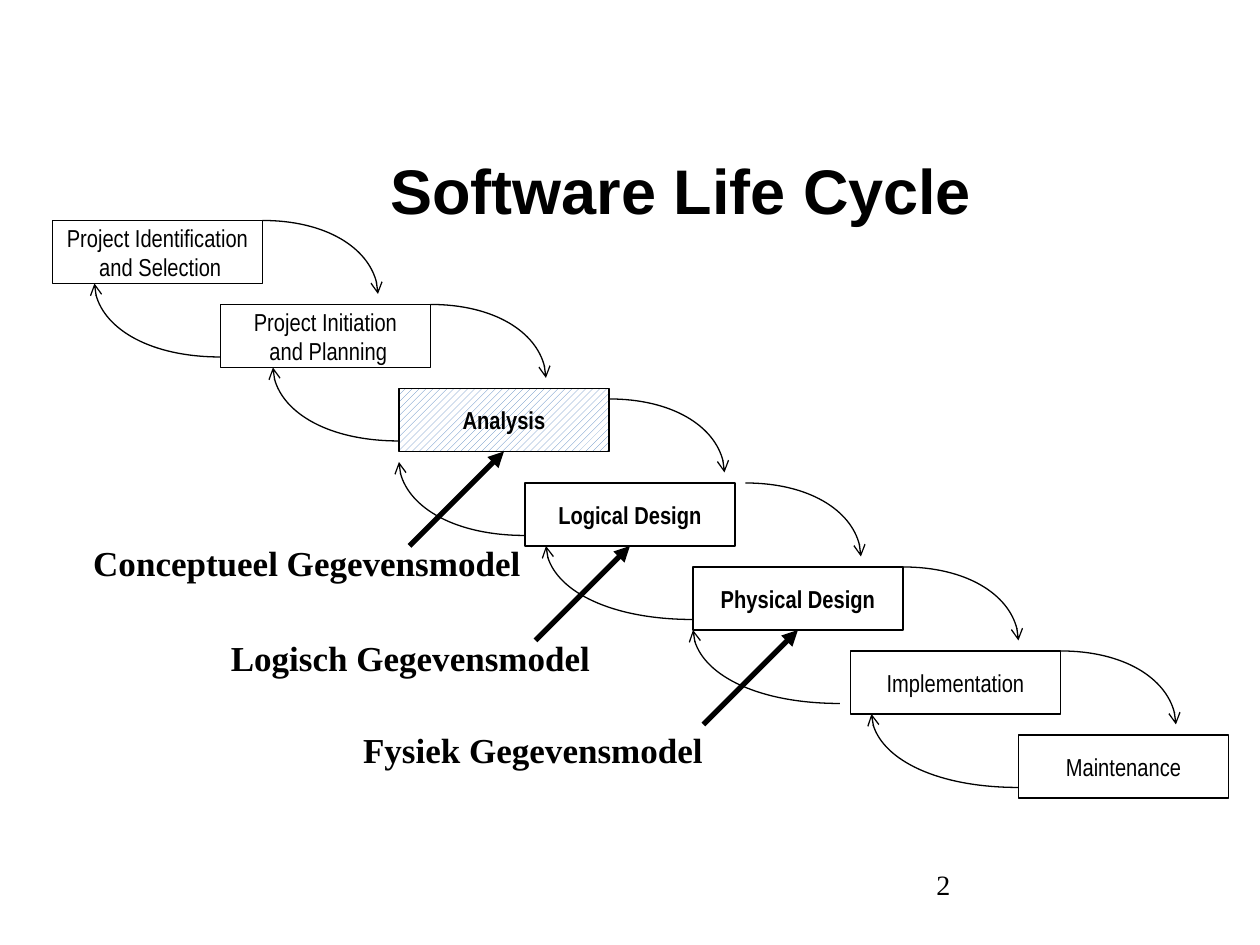
from lxml import etree
from pptx import Presentation
from pptx.dml.color import RGBColor
from pptx.enum.dml import MSO_PATTERN
from pptx.enum.shapes import MSO_CONNECTOR, MSO_SHAPE
from pptx.enum.text import MSO_ANCHOR, PP_ALIGN
from pptx.oxml.ns import qn
from pptx.util import Emu, Pt

RECT = MSO_SHAPE.RECTANGLE
STRAIGHT = MSO_CONNECTOR.STRAIGHT
LEFT, CENTER = PP_ALIGN.LEFT, PP_ALIGN.CENTER
TOP, MIDDLE = MSO_ANCHOR.TOP, MSO_ANCHOR.MIDDLE
HATCH = MSO_PATTERN.WIDE_UPWARD_DIAGONAL
BOTTOM_SIDE = 2

SCALE = 7620  # EMU per px, 120 px to the inch
COLORS = {"ink": "000000", "paper": "FFFFFF", "hatch": "4F81BD"}
BOX_W, BOX_H = 200, 60
ARC_H = 70
BEZIER = 0.55  # control point ratio of a quarter ellipse

# Phase text, left, top, bold
PHASES = [
    ("Project Identification\n and Selection", 50, 210, False),
    ("Project Initiation\n and Planning", 210, 290, False),
    ("Analysis", 380, 370, True),
    ("Logical Design", 500, 460, True),
    ("Physical Design", 660, 540, True),
    ("Implementation", 810, 620, False),
    ("Maintenance", 970, 700, False),
]
# Start points of the arcs to the next phase
FORWARD_ARCS = [(250, 210), (410, 290), (580, 380), (710, 460), (860, 540), (1010, 620)]
# Left, top and width of the arcs to the previous phase
BACK_ARCS = [(90, 270, 120), (260, 350, 120), (380, 440, 120),
             (520, 520, 140), (660, 600, 140), (830, 680, 140)]
# Data model text, left, top, width, phase it belongs to
MODELS = [
    ("Conceptueel Gegevensmodel", 77, 510, 434, "Analysis"),
    ("Logisch Gegevensmodel", 208, 600, 368, "Logical Design"),
    ("Fysiek Gegevensmodel", 334, 688, 350, "Physical Design"),
]


def px(n):
    return Emu(round(n * SCALE))


def color(name):
    return RGBColor.from_string(COLORS[name])


def write(s, text, font="Times New Roman", size=14, bold=False,
          align=LEFT, anchor=TOP, wrap=True):
    tf = s.text_frame
    tf.word_wrap = wrap
    tf.vertical_anchor = anchor
    for i, line in enumerate(text.split("\n")):
        p = tf.paragraphs[0] if i == 0 else tf.add_paragraph()
        p.alignment = align
        r = p.add_run()
        r.text = line
        r.font.name, r.font.size, r.font.bold = font, Pt(size), bold
        r.font.color.rgb = color("ink")


def add_text(slide, text, x, y, w, h, **fmt):
    s = slide.shapes.add_textbox(px(x), px(y), px(w), px(h))
    write(s, text, **fmt)


def style_line(s, width, head=None):
    s.line.color.rgb = color("ink")
    s.line.width = Pt(width)
    if head:
        etree.SubElement(s.line._get_or_add_ln(), qn("a:tailEnd"), type=head)


def add_phase(slide, text, x, y, bold):
    s = slide.shapes.add_shape(RECT, px(x), px(y), px(BOX_W), px(BOX_H))
    s.shadow.inherit = False
    if text == "Analysis":
        s.fill.patterned()
        s.fill.pattern = HATCH
        s.fill.fore_color.rgb = color("hatch")
        s.fill.back_color.rgb = color("paper")
    else:
        s.fill.background()
    style_line(s, 0.75)
    write(s, text, font="Arial Narrow", bold=bold, align=CENTER, anchor=MIDDLE, wrap=False)
    return s


def add_arc(slide, x1, y1, x2, y2):
    """Quarter ellipse that leaves horizontally and arrives vertically."""
    builder = slide.shapes.build_freeform(px(x1), px(y1))
    builder.add_line_segments([(px(x2), px(y2))], close=False)
    s = builder.convert_to_shape()
    s.shadow.inherit = False
    s.fill.background()
    style_line(s, 0.75, "arrow")
    # Turn the straight segment into a cubic curve
    left, top = min(x1, x2), min(y1, y2)
    curve = ((x1 + (x2 - x1) * BEZIER, y1), (x2, y2 - (y2 - y1) * BEZIER), (x2, y2))
    segment = next(s._element.iter(qn("a:lnTo")))
    bezier = etree.Element(qn("a:cubicBezTo"))
    for x, y in curve:
        etree.SubElement(bezier, qn("a:pt"), x=str(px(x - left)), y=str(px(y - top)))
    segment.getparent().replace(segment, bezier)


def add_model(slide, text, x, y, w, phase):
    add_text(slide, text, x, y, w, 53, size=20, bold=True, wrap=False)
    end_x = phase.left + phase.width // 2
    end_y = phase.top + phase.height
    s = slide.shapes.add_connector(STRAIGHT, end_x - px(90), end_y + px(90), end_x, end_y)
    s.end_connect(phase, BOTTOM_SIDE)
    style_line(s, 3, "triangle")
    etree.SubElement(s._element.spPr, qn("a:effectLst"))


def add_life_cycle(slide):
    phases = {row[0]: add_phase(slide, *row) for row in PHASES}
    for x, y in FORWARD_ARCS:
        add_arc(slide, x, y, x + 110, y + ARC_H)
    for x, y, w in BACK_ARCS:
        add_arc(slide, x + w, y + ARC_H, x, y)
    for *row, name in MODELS:
        add_model(slide, *row, phases[name])


def main():
    prs = Presentation()
    prs.slide_width, prs.slide_height = px(1200), px(900)
    slide = prs.slides.add_slide(prs.slide_layouts[6])

    # Page number and title
    add_text(slide, "2", 880, 820, 230, 60, size=16)
    add_text(slide, "Software Life Cycle", 360, 138, 1020, 150,
             font="Arial", size=36, bold=True)

    add_life_cycle(slide)
    prs.save("out.pptx")


if __name__ == "__main__":
    main()
